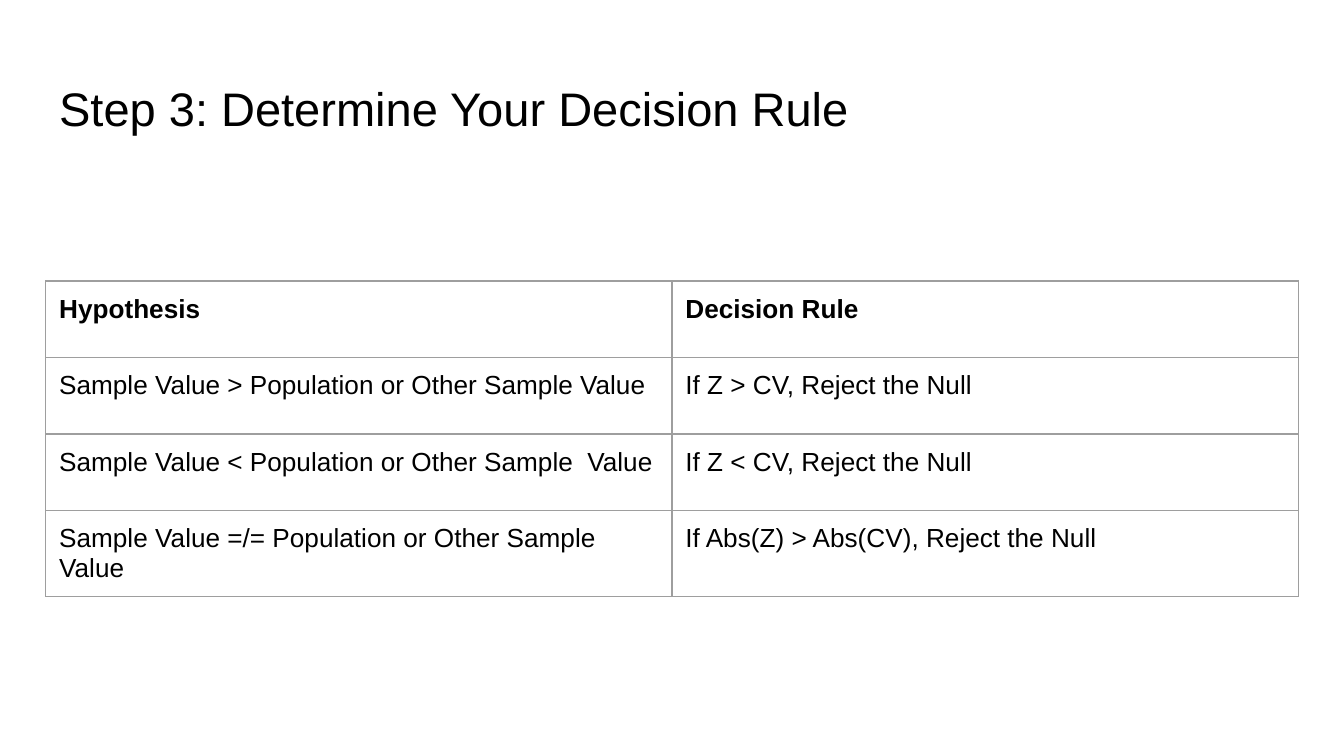
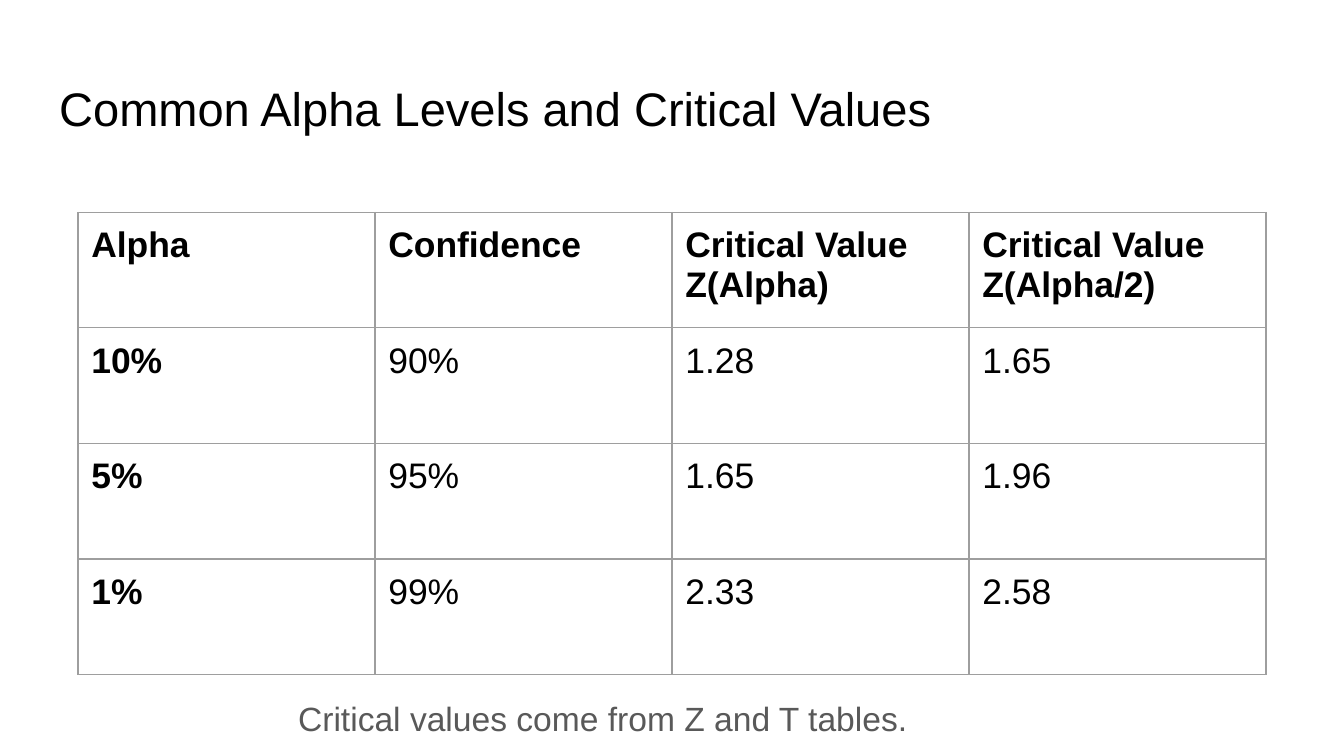
from dataclasses import dataclass

from lxml.etree import SubElement
from pptx import Presentation
from pptx.dml.color import RGBColor
from pptx.enum.text import MSO_ANCHOR as Anchor, MSO_AUTO_SIZE as AutoSize, PP_ALIGN as Align
from pptx.oxml.ns import qn
from pptx.slide import Slide
from pptx.table import _Cell as Cell
from pptx.text.text import TextFrame, _Paragraph as Paragraph
from pptx.util import Inches, Pt


@dataclass(frozen=True)
class Theme:
    font: str = "Arial"
    ink: str = "000000"
    muted: str = "595959"
    grid: str = "9E9E9E"
    background: str = "FFFFFF"
    title_size: float = 25.2
    caption_size: float = 18
    grid_width: float = 0.75
    inset: float = 0.1


THEME = Theme()


@dataclass(frozen=True)
class Grid:
    left: float
    top: float
    col_width: float
    row_height: float
    size: float
    rows: tuple[tuple[str, ...], ...]
    bold_first_col: bool = False


# Slide contents
DECISION_RULES = Grid(0.34, 2.09, 4.66, 0.57, 14, (
    ("Hypothesis", "Decision Rule"),
    ("Sample Value > Population or Other Sample Value", "If Z > CV, Reject the Null"),
    ("Sample Value < Population or Other Sample  Value", "If Z < CV, Reject the Null"),
    ("Sample Value =/= Population or Other Sample Value", "If Abs(Z) > Abs(CV), Reject the Null"),
))
CRITICAL_VALUES = Grid(0.58, 1.58, 2.21, 0.86, 19, (
    ("Alpha", "Confidence", "Critical Value Z(Alpha)", "Critical Value Z(Alpha/2)"),
    ("10%", "90%", "1.28", "1.65"),
    ("5%", "95%", "1.65", "1.96"),
    ("1%", "99%", "2.33", "2.58"),
), bold_first_col=True)


# Shared text formatting
def set_insets(target: TextFrame | Cell) -> None:
    target.margin_left = target.margin_right = Inches(THEME.inset)
    target.margin_top = target.margin_bottom = Inches(THEME.inset)


def style(p: Paragraph, size: float, color: str, bold: bool = False) -> None:
    p.alignment = Align.LEFT
    p.font.name = THEME.font
    p.font.size = Pt(size)
    p.font.bold = bold
    p.font.color.rgb = RGBColor.from_string(color)


def fill_frame(tf: TextFrame, text: str, size: float, color: str, anchor: Anchor) -> None:
    tf.text = text
    tf.word_wrap = True
    tf.auto_size = AutoSize.NONE
    tf.vertical_anchor = anchor
    set_insets(tf)
    style(tf.paragraphs[0], size, color)


# Slide parts
def add_titled_slide(prs: Presentation, title: str) -> Slide:
    s = prs.slides.add_slide(prs.slide_layouts[5])
    s.background.fill.solid()
    s.background.fill.fore_color.rgb = RGBColor.from_string(THEME.background)
    sp = s.shapes.title
    sp.left, sp.top = Inches(0.34), Inches(0.49)
    sp.width, sp.height = Inches(9.32), Inches(0.63)
    fill_frame(sp.text_frame, title, THEME.title_size, THEME.ink, Anchor.MIDDLE)
    return s


def add_borders(cell: Cell) -> None:
    tc_pr = cell._tc.get_or_add_tcPr()
    for i, side in enumerate(("lnL", "lnR", "lnT", "lnB")):
        ln = tc_pr.makeelement(qn(f"a:{side}"), {"w": str(Pt(THEME.grid_width))})
        SubElement(SubElement(ln, qn("a:solidFill")), qn("a:srgbClr"), val=THEME.grid)
        tc_pr.insert(i, ln)


def add_grid(s: Slide, grid: Grid) -> None:
    n_rows, n_cols = len(grid.rows), len(grid.rows[0])
    table = s.shapes.add_table(
        n_rows, n_cols, Inches(grid.left), Inches(grid.top),
        Inches(grid.col_width * n_cols), Inches(grid.row_height * n_rows)).table
    table.first_row = table.horz_banding = False
    for col in table.columns:
        col.width = Inches(grid.col_width)
    for r, texts in enumerate(grid.rows):
        table.rows[r].height = Inches(grid.row_height)
        for c, text in enumerate(texts):
            cell = table.cell(r, c)
            cell.text = text
            cell.vertical_anchor = Anchor.TOP
            cell.fill.background()
            set_insets(cell)
            bold = r == 0 or (grid.bold_first_col and c == 0)
            style(cell.text_frame.paragraphs[0], grid.size, THEME.ink, bold)
            add_borders(cell)


def add_caption(s: Slide, text: str) -> None:
    sp = s.shapes.add_textbox(Inches(2.12), Inches(5.09), Inches(5.33), Inches(0.36))
    fill_frame(sp.text_frame, text, THEME.caption_size, THEME.muted, Anchor.TOP)


def main() -> None:
    prs = Presentation()
    # Widescreen, 16:9
    prs.slide_width = Inches(10)
    prs.slide_height = Inches(10 * 9 / 16)

    # Decision rules
    s = add_titled_slide(prs, "Step 3: Determine Your Decision Rule")
    add_grid(s, DECISION_RULES)

    # Critical values
    s = add_titled_slide(prs, "Common Alpha Levels and Critical Values")
    add_grid(s, CRITICAL_VALUES)
    add_caption(s, "Critical values come from Z and T tables.")

    prs.save("out.pptx")


if __name__ == "__main__":
    main()
